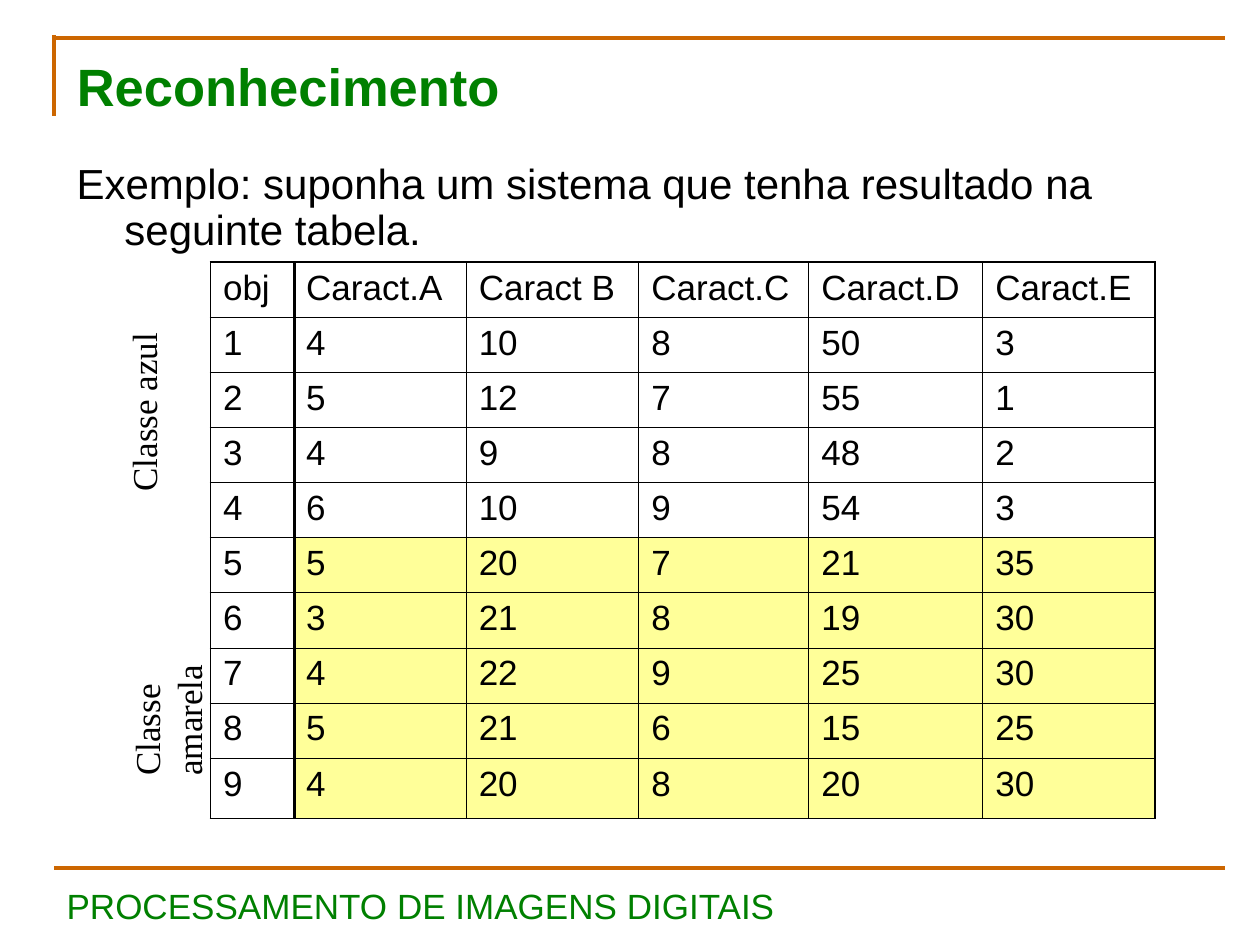
from lxml import etree
from pptx import Presentation
from pptx.dml.color import RGBColor
from pptx.enum.text import MSO_ANCHOR, PP_ALIGN
from pptx.oxml.ns import qn
from pptx.util import Inches, Pt

COLORS = {"text": "000000", "green": "008000", "rule": "CC6600",
          "white": "FFFFFF", "yellow": "FFFF99"}
OUTER, INNER = Pt(1.08), Pt(0.45)


def write(frame, text, size, color="text", font="Arial", wrap=True):
    """Put one left-aligned, top-anchored paragraph in a text frame."""
    frame.word_wrap = wrap
    frame.vertical_anchor = MSO_ANCHOR.TOP
    paragraph = frame.paragraphs[0]
    paragraph.text = text
    paragraph.alignment = PP_ALIGN.LEFT
    paragraph.font.name = font
    paragraph.font.size = Pt(size)
    paragraph.font.color.rgb = RGBColor.from_string(COLORS[color])
    return paragraph


def set_borders(cell, widths):
    """Draw the left, right, top and bottom borders, in that order."""
    properties = cell._tc.get_or_add_tcPr()
    for side, width in zip("LRTB", widths):
        border = etree.SubElement(properties, qn(f"a:ln{side}"), w=str(int(width)))
        fill = etree.SubElement(border, qn("a:solidFill"))
        etree.SubElement(fill, qn("a:srgbClr"), val=COLORS["text"])


prs = Presentation()
prs.slide_width, prs.slide_height = Inches(10), Inches(7.5)
slide = prs.slides.add_slide(prs.slide_layouts[5])
shapes = slide.shapes

# Title
title = shapes.title
title.left, title.top = Inches(0.51), Inches(0.38)
title.width, title.height = Inches(9.13), Inches(0.6)
write(title.text_frame, "Reconhecimento", 30, "green").font.bold = True

# Introduction with a hanging indent
intro = shapes.add_textbox(Inches(0.51), Inches(1.25), Inches(8.74), Inches(0.83))
intro_line = write(intro.text_frame, "Exemplo: suponha um sistema que tenha resultado "
                   "na seguinte tabela.", 24)
intro_line.line_spacing = 0.9
indent = intro_line._p.get_or_add_pPr()
indent.set("marL", str(Inches(0.38)))
indent.set("indent", str(-Inches(0.38)))

# Feature table and object numbers
features = [
    ["Caract.A", "Caract B", "Caract.C", "Caract.D", "Caract.E"],
    [4, 10, 8, 50, 3],
    [5, 12, 7, 55, 1],
    [4, 9, 8, 48, 2],
    [6, 10, 9, 54, 3],
    [5, 20, 7, 21, 35],
    [3, 21, 8, 19, 30],
    [4, 22, 9, 25, 30],
    [5, 21, 6, 15, 25],
    [4, 20, 8, 20, 30],
]
objects = [["obj"]] + [[number] for number in range(1, 10)]
row_fills = [None] + ["white"] * 4 + ["yellow"] * 5
tables = [
    (2.33, [1.37, 1.37, 1.35, 1.38, 1.37], features, row_fills),
    (1.67, [0.67], objects, [None] * 10),
]
table_height, last_height = Inches(4.42), Inches(0.48)
for left, widths, rows, fills in tables:
    last_row, last_col = len(rows) - 1, len(widths) - 1
    table = shapes.add_table(len(rows), len(widths), Inches(left), Inches(2.08),
                             Inches(sum(widths)), table_height).table
    table.first_row = table.horz_banding = False
    for column, width in zip(table.columns, widths):
        column.width = Inches(width)
    for r, values in enumerate(rows):
        table.rows[r].height = (last_height if r == last_row
                                else (table_height - last_height) // last_row)
        for c, value in enumerate(values):
            cell = table.cell(r, c)
            write(cell.text_frame, str(value), 20)
            on_edge = [c == 0, c == last_col, r == 0, r == last_row]
            set_borders(cell, [OUTER if edge else INNER for edge in on_edge])
            if fills[r]:
                cell.fill.solid()
                cell.fill.fore_color.rgb = RGBColor.from_string(COLORS[fills[r]])
            else:
                cell.fill.background()

# Class names, read upwards beside the table
for name, left, top, width in [("Classe amarela", 0.23, 5.1, 1.87),
                               ("Classe azul", 0.41, 3.05, 1.46)]:
    class_name = shapes.add_textbox(Inches(left), Inches(top), Inches(width), Inches(0.44))
    class_name.rotation = 270
    write(class_name.text_frame, name, 20, font="Times New Roman", wrap=False)

# Rules around the title and above the footer
for x1, y1, x2, y2 in [(0.43, 0.92, 0.43, 0.28),
                       (0.43, 0.3, 9.72, 0.3),
                       (0.43, 6.89, 9.72, 6.89)]:
    rule = shapes.add_connector(1, Inches(x1), Inches(y1), Inches(x2), Inches(y2))
    rule.line.color.rgb = RGBColor.from_string(COLORS["rule"])
    rule.line.width = Pt(2.5)
    etree.SubElement(rule._element.spPr, qn("a:effectLst"))

# Footer
footer = shapes.add_textbox(Inches(0.43), Inches(6.97), Inches(6.79), Inches(0.44))
write(footer.text_frame, "PROCESSAMENTO DE IMAGENS DIGITAIS", 20, "green")

prs.save("out.pptx")
